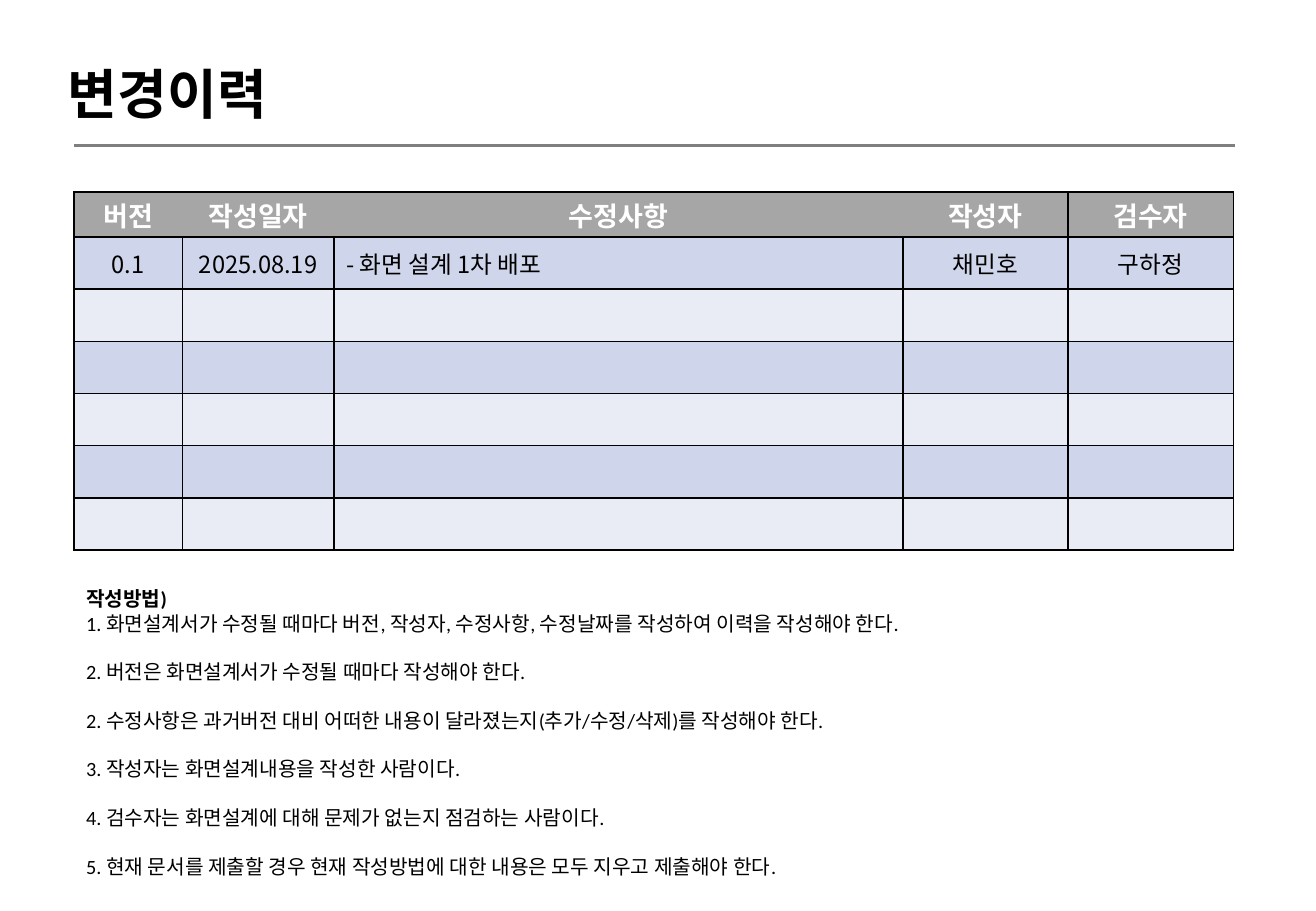
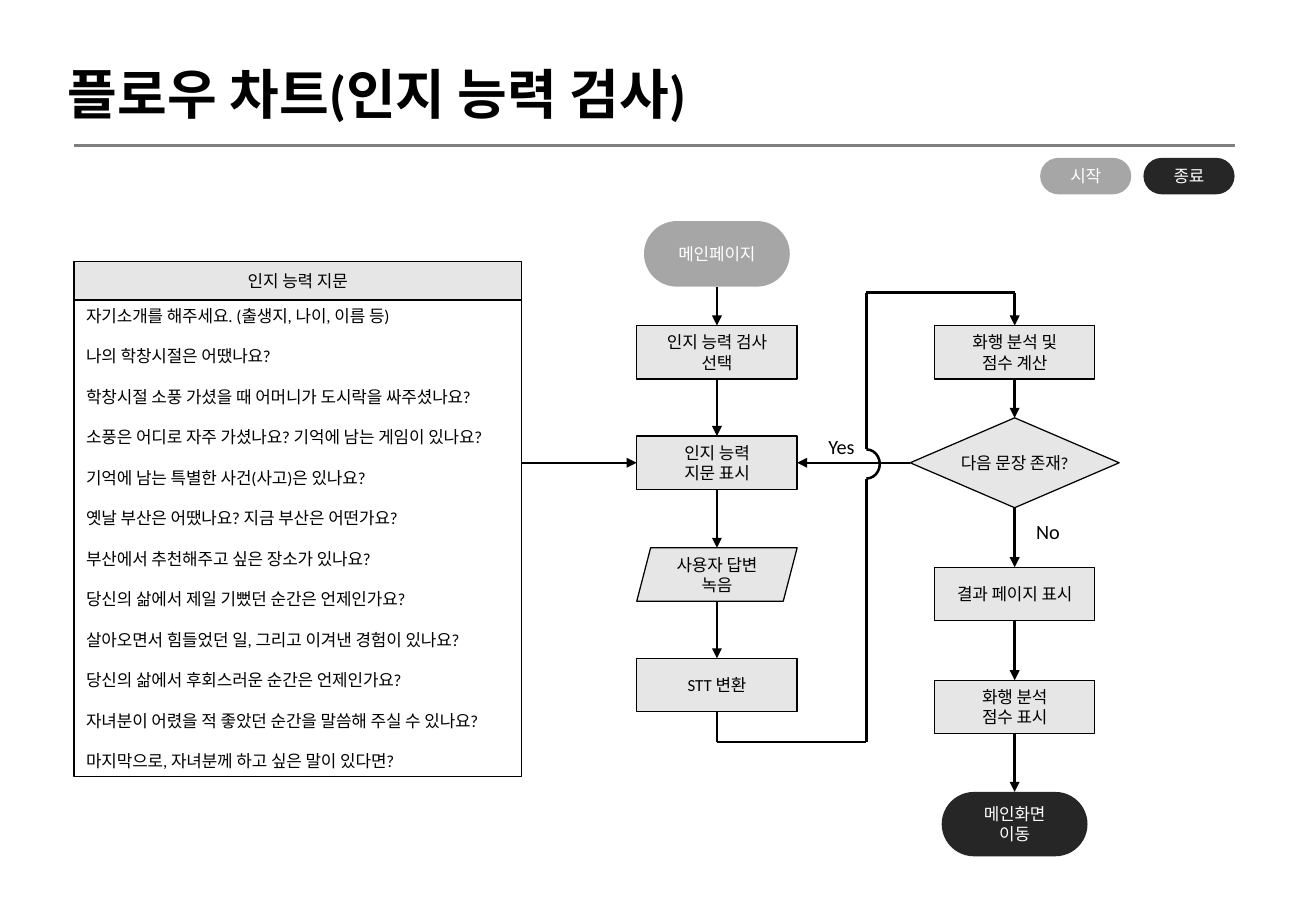
"""Build the change history and flow chart slides of a screen design document."""
from itertools import pairwise

from lxml import etree
from pptx import Presentation
from pptx.dml.color import RGBColor
from pptx.enum.shapes import MSO_CONNECTOR, MSO_SHAPE
from pptx.enum.text import MSO_ANCHOR, PP_ALIGN
from pptx.oxml.ns import qn
from pptx.util import Pt

EMU_PER_PX = 9144
TOP, LEFT, BOTTOM, RIGHT = range(4)
RECTANGLE = MSO_SHAPE.RECTANGLE
PILL = MSO_SHAPE.ROUNDED_RECTANGLE
PARALLELOGRAM = MSO_SHAPE.PARALLELOGRAM
DIAMOND = MSO_SHAPE.DIAMOND
ARC = MSO_SHAPE.ARC
STRAIGHT = MSO_CONNECTOR.STRAIGHT
ALIGN_LEFT, ALIGN_CENTER = PP_ALIGN.LEFT, PP_ALIGN.CENTER
ANCHOR_TOP, ANCHOR_MIDDLE = MSO_ANCHOR.TOP, MSO_ANCHOR.MIDDLE
BODY_FONT = "Calibri"
TABLE_FONT = "Noto Sans CJK KR"
COLORS = {
    "black": "000000",
    "white": "FFFFFF",
    "rule": "7F7F7F",
    "start": "A6A6A6",
    "finish": "262626",
    "step": "E6E6E6",
    "odd_row": "CFD5EA",
    "even_row": "E9EBF5",
}


def px(length):
    return int(length * EMU_PER_PX)


def rgb(name):
    return RGBColor.from_string(COLORS[name])


class Deck:
    def __init__(self, width, height):
        self.presentation = Presentation()
        self.presentation.slide_width = px(width)
        self.presentation.slide_height = px(height)
        self.slide = None

    def new_slide(self, title, title_width):
        self.slide = self.presentation.slides.add_slide(self.presentation.slide_layouts[6])
        self.text_box(46, 45, title_width, 64, [title], size=32, bold=True, wrap=False)
        self.line((61, 120), (1016, 120), color="rule")

    def add_text(self, frame, paragraphs, size, color="black", bold=False, align=ALIGN_LEFT,
                 font=BODY_FONT, gap=0, bold_first=False):
        for index, text in enumerate(paragraphs):
            paragraph = frame.paragraphs[0] if index == 0 else frame.add_paragraph()
            paragraph.alignment = align
            if index > (1 if bold_first else 0):
                paragraph.space_before = Pt(gap)
            for part, words in enumerate(text.split("\n")):
                if part:
                    paragraph.add_line_break()
                run = paragraph.add_run()
                run.text = words
                run.font.size = Pt(size)
                run.font.bold = bold or (bold_first and index == 0)
                run.font.name = font
                run.font.color.rgb = rgb(color)
                latin = run.font._element.find(qn("a:latin"))
                east_asian = etree.Element(qn("a:ea"), typeface=font)
                latin.addnext(east_asian)

    def text_box(self, left, top, width, height, paragraphs, size, wrap=True, **style):
        box = self.slide.shapes.add_textbox(px(left), px(top), px(width), px(height))
        box.text_frame.word_wrap = wrap
        box.text_frame.vertical_anchor = ANCHOR_TOP
        self.add_text(box.text_frame, paragraphs, size, **style)

    def shape(self, kind, left, top, width, height, paragraphs=(), fill="step", line="black",
              line_width=0.75, adjustments=(), wrap=True, align=ALIGN_CENTER, **style):
        shape = self.slide.shapes.add_shape(kind, px(left), px(top), px(width), px(height))
        shape.shadow.inherit = False
        for index, value in enumerate(adjustments):
            shape.adjustments[index] = value
        if fill:
            shape.fill.solid()
            shape.fill.fore_color.rgb = rgb(fill)
        else:
            shape.fill.background()
        if line:
            shape.line.color.rgb = rgb(line)
            shape.line.width = Pt(line_width)
        else:
            shape.line.fill.background()
        shape.text_frame.word_wrap = wrap
        shape.text_frame.vertical_anchor = ANCHOR_MIDDLE
        self.add_text(shape.text_frame, paragraphs, 10, align=align, **style)
        return shape

    def pill(self, left, top, width, height, paragraphs, fill):
        return self.shape(PILL, left, top, width, height, paragraphs, fill=fill, line=None,
                          adjustments=[0.5], color="white")

    def locate(self, end):
        if isinstance(end[0], int):
            return px(end[0]), px(end[1])
        shape, site = end
        x = {LEFT: 0, RIGHT: shape.width}.get(site, shape.width // 2)
        y = {TOP: 0, BOTTOM: shape.height}.get(site, shape.height // 2)
        return shape.left + x, shape.top + y

    def line(self, start, end, color="black", arrow=False):
        connector = self.slide.shapes.add_connector(
            STRAIGHT, *self.locate(start), *self.locate(end))
        for target, join in ((start, connector.begin_connect), (end, connector.end_connect)):
            if not isinstance(target[0], int) and target[0].auto_shape_type != PARALLELOGRAM:
                join(*target)
        connector.line.color.rgb = rgb(color)
        connector.line.width = Pt(1.5)
        properties = connector._element.spPr
        if arrow:
            etree.SubElement(properties.find(qn("a:ln")), qn("a:tailEnd"), type="triangle")
        etree.SubElement(properties, qn("a:effectLst"))

    def flow(self, shapes):
        for upper, lower in pairwise(shapes):
            self.line((upper, BOTTOM), (lower, TOP), arrow=True)

    def borders(self, cell, hidden):
        properties = cell._tc.get_or_add_tcPr()
        for side in ("lnL", "lnR", "lnT", "lnB"):
            border = etree.SubElement(properties, qn(f"a:{side}"), w=str(Pt(1)))
            if side in hidden:
                etree.SubElement(border, qn("a:noFill"))
            else:
                fill = etree.SubElement(border, qn("a:solidFill"))
                etree.SubElement(fill, qn("a:srgbClr"), val=COLORS["black"])

    def table(self, left, top, widths, heights, rows, left_column, open_edges):
        frame = self.slide.shapes.add_table(len(heights), len(widths), px(left), px(top),
                                            px(sum(widths)), px(sum(heights)))
        table = frame.table
        for column, width in zip(table.columns, widths):
            column.width = px(width)
        for row_index, height in enumerate(heights):
            table.rows[row_index].height = px(height)
            header = row_index == 0
            fill = "start" if header else ("odd_row" if row_index % 2 else "even_row")
            for column_index in range(len(widths)):
                cell = table.cell(row_index, column_index)
                cell.vertical_anchor = ANCHOR_MIDDLE
                cell.margin_top = cell.margin_bottom = px(2)
                self.borders(cell, open_edges[column_index] if header else ())
                cell.fill.solid()
                cell.fill.fore_color.rgb = rgb(fill)
                if row_index < len(rows):
                    left_aligned = column_index == left_column and not header
                    self.add_text(cell.text_frame, [rows[row_index][column_index]],
                                  size=16 if header else 14,
                                  color="white" if header else "black", bold=header,
                                  align=ALIGN_LEFT if left_aligned else ALIGN_CENTER,
                                  font=TABLE_FONT)


def history_slide(deck):
    deck.new_slide("변경이력", 200)
    deck.table(
        61, 158, [89, 125, 468, 136, 136], [37] + [43] * 6,
        [["버전", "작성일자", "수정사항", "작성자", "검수자"],
         ["0.1", "2025.08.19", "- 화면 설계 1차 배포", "채민호", "구하정"]],
        left_column=2,
        open_edges=[("lnR",), ("lnL", "lnR"), ("lnL", "lnR"), ("lnL",), ()])
    deck.text_box(61, 478, 829, 252, [
        "작성방법)",
        "1. 화면설계서가 수정될 때마다 버전, 작성자, 수정사항, 수정날짜를 작성하여 이력을 작성해야 한다.",
        "2. 버전은 화면설계서가 수정될 때마다 작성해야 한다.",
        "2. 수정사항은 과거버전 대비 어떠한 내용이 달라졌는지(추가/수정/삭제)를 작성해야 한다.",
        "3. 작성자는 화면설계내용을 작성한 사람이다.",
        "4. 검수자는 화면설계에 대해 문제가 없는지 점검하는 사람이다.",
        "5. 현재 문서를 제출할 경우 현재 작성방법에 대한 내용은 모두 지우고 제출해야 한다.",
    ], size=12, gap=14.4, bold_first=True)


def flow_slide(deck):
    deck.new_slide("플로우 차트(인지 능력 검사)", 572)
    deck.pill(856, 130, 75, 30, ["시작"], "start")
    deck.pill(941, 130, 75, 30, ["종료"], "finish")

    test_x, result_x, step_width, step_height = 524, 769, 132, 44

    def step(left, top, *paragraphs, kind=RECTANGLE, **style):
        return deck.shape(kind, left, top, step_width, step_height, paragraphs, **style)

    main_page = deck.pill(530, 182, 120, 54, ["메인페이지"], "start")
    choose_test = step(test_x, 268, "인지 능력 검사\n선택")
    show_passage = step(test_x, 359, "인지 능력", "지문 표시")
    record_answer = step(test_x, 451, "사용자 답변 녹음", kind=PARALLELOGRAM, adjustments=[0.26])
    convert_speech = step(test_x, 542, "STT 변환")
    score_speech = step(result_x, 268, "화행 분석 및", "점수 계산")
    more_sentences = deck.shape(DIAMOND, 749, 344, 172, 74, ["다음 문장 존재?"], wrap=False)
    show_result = step(result_x, 467, "결과 페이지 표시")
    show_score = step(result_x, 560, "화행 분석", "점수 표시")
    go_main = deck.pill(775, 652, 120, 53, ["메인화면", "이동"], "finish")

    deck.flow([main_page, choose_test, show_passage, record_answer, convert_speech])
    deck.flow([score_speech, more_sentences, show_result, show_score, go_main])
    deck.line((more_sentences, LEFT), (show_passage, RIGHT), arrow=True)

    below = [(convert_speech, BOTTOM), (590, 611), (713, 611), (713, 394)]
    above = [(713, 370), (713, 241), (835, 241)]
    for start, end in [*pairwise(below), *pairwise(above)]:
        deck.line(start, end)
    deck.line(above[-1], (score_speech, TOP), arrow=True)
    deck.shape(ARC, 702, 370, 22, 24, fill=None, line_width=1.5, adjustments=[162, 54])
    deck.text_box(667, 353, 51, 28, ["Yes"], size=12, align=ALIGN_CENTER)
    deck.text_box(837, 423, 51, 30, ["No"], size=12, align=ALIGN_CENTER)

    deck.shape(RECTANGLE, 61, 215, 368, 32, ["인지 능력 지문"])
    deck.shape(RECTANGLE, 61, 247, 368, 392, [
        "자기소개를 해주세요. (출생지, 나이, 이름 등)",
        "나의 학창시절은 어땠나요?",
        "학창시절 소풍 가셨을 때 어머니가 도시락을 싸주셨나요?",
        "소풍은 어디로 자주 가셨나요? 기억에 남는 게임이 있나요?",
        "기억에 남는 특별한 사건(사고)은 있나요?",
        "옛날 부산은 어땠나요? 지금 부산은 어떤가요?",
        "부산에서 추천해주고 싶은 장소가 있나요?",
        "당신의 삶에서 제일 기뻤던 순간은 언제인가요?",
        "살아오면서 힘들었던 일, 그리고 이겨낸 경험이 있나요?",
        "당신의 삶에서 후회스러운 순간은 언제인가요?",
        "자녀분이 어렸을 적 좋았던 순간을 말씀해 주실 수 있나요?",
        "마지막으로, 자녀분께 하고 싶은 말이 있다면?",
    ], fill="white", align=ALIGN_LEFT, gap=12)
    deck.line((429, 381), (show_passage, LEFT), arrow=True)


def main():
    deck = Deck(1083, 750)
    history_slide(deck)
    flow_slide(deck)
    deck.presentation.save("out.pptx")


if __name__ == "__main__":
    main()
